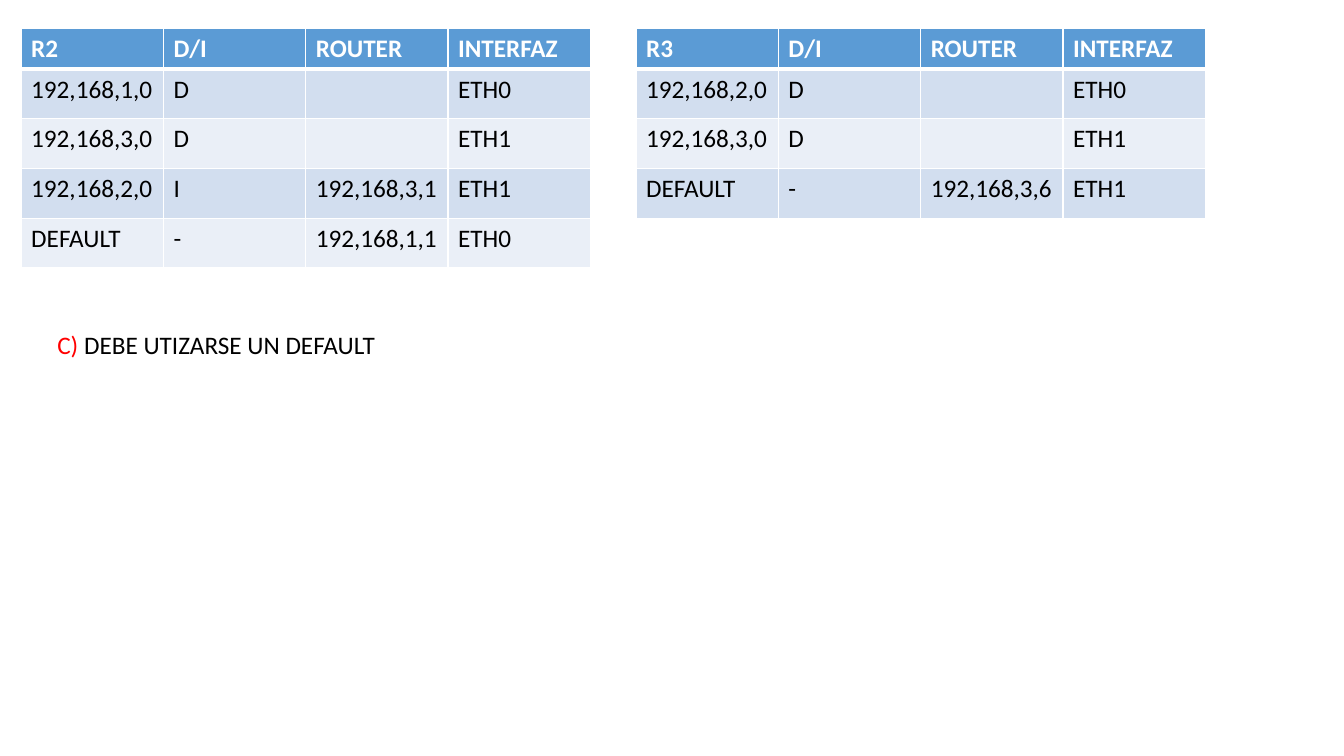
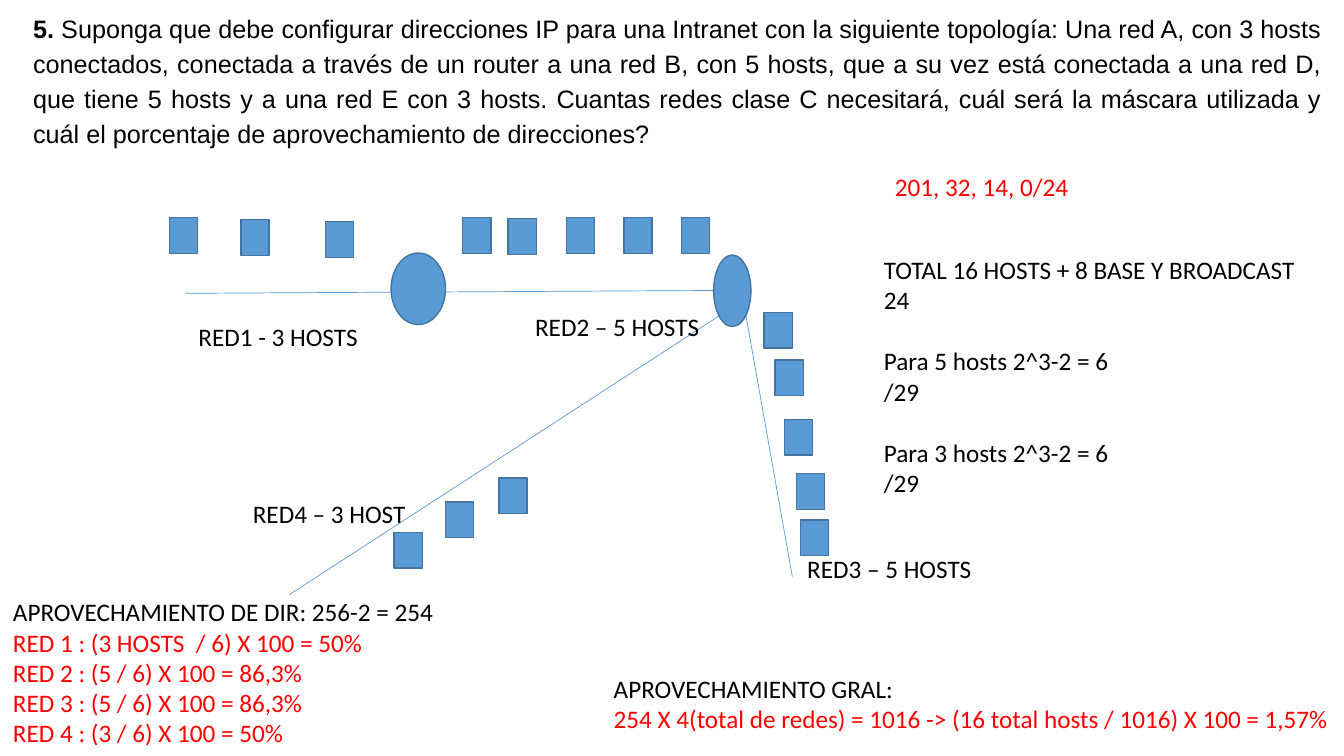
from lxml import etree
from pptx import Presentation
from pptx import util as u
from pptx.dml.color import RGBColor
from pptx.enum import shapes, text
from pptx.oxml import ns

COLORS = {
    "accent": "5B9BD5", "outline": "43739E", "band": "D2DEEF", "pale": "EAEFF7",
    "white": "FFFFFF", "black": "000000", "red": "FF0000",
}
FONT = "Calibri"
SIZE = 18
CELL = u.Inches(0.1)  # side of one grid cell: the page is 133.33 columns by 75 rows
COLUMN_WIDTH, HEADER_HEIGHT, ROW_HEIGHT = 14.12, 4, 4.93
HOST_WIDTH, HOST_HEIGHT = 2.8, 3.54
LINE_HEIGHT = u.Pt(22)


def grid(*cells):
    return [int(cell * CELL) for cell in cells]


def color(name):
    return RGBColor.from_string(COLORS[name])


def paint(item, name):
    item.fill.solid()
    item.fill.fore_color.rgb = color(name)


def add_span(para, words, ink="black", bold=False, font=FONT):
    span = para.add_run()
    span.text = words
    span.font.name, span.font.size, span.font.bold = font, u.Pt(SIZE), bold
    span.font.color.rgb = color(ink)


def add_text(page, place, lines, wrap=False, font=FONT, align=None, spacing=None, gaps=()):
    """Each line is a list of (words, ink, bold); gaps are lines preceded by a space."""
    box = page.shapes.add_textbox(*grid(*place))
    frame = box.text_frame
    frame.word_wrap = wrap
    frame.auto_size = text.MSO_AUTO_SIZE.SHAPE_TO_FIT_TEXT
    for index, spans in enumerate(lines):
        para = frame.add_paragraph() if index else frame.paragraphs[0]
        para.alignment, para.line_spacing = align, spacing
        if index in gaps:
            para.space_before = LINE_HEIGHT
        for span in spans:
            add_span(para, *span, font=font)


def add_borders(cell, top, bottom):
    properties = cell._tc.get_or_add_tcPr()
    for side, points in (("L", 1), ("R", 1), ("T", top), ("B", bottom)):
        line = etree.SubElement(properties, ns.qn("a:ln" + side), w=str(u.Pt(points)))
        fill = etree.SubElement(line, ns.qn("a:solidFill"))
        etree.SubElement(fill, ns.qn("a:srgbClr"), val=COLORS["white"])


def add_routes(page, left, top, router, routes):
    rows = [(router, "D/I", "ROUTER", "INTERFAZ"), *routes]
    columns = len(rows[0])
    height = HEADER_HEIGHT + ROW_HEIGHT * len(routes)
    place = grid(left, top, COLUMN_WIDTH * columns, height)
    table = page.shapes.add_table(len(rows), columns, *place).table
    for index, row in enumerate(rows):
        header = index == 0
        table.rows[index].height = grid(HEADER_HEIGHT if header else ROW_HEIGHT)[0]
        shade = "accent" if header else "band" if index % 2 else "pale"
        for position, words in enumerate(row):
            cell = table.cell(index, position)
            add_borders(cell, top=3 if index == 1 else 1, bottom=3 if header else 1)
            paint(cell, shade)
            if words:
                add_span(cell.text_frame.paragraphs[0], words,
                         "white" if header else "black", header)


def add_node(page, kind, *place):
    node = page.shapes.add_shape(kind, *grid(*place))
    node.shadow.inherit = False
    paint(node, "accent")
    node.line.color.rgb = color("outline")
    node.line.width = u.Pt(1)


def add_link(page, *ends):
    link = page.shapes.add_connector(shapes.MSO_CONNECTOR.STRAIGHT, *grid(*ends))
    link.line.color.rgb = color("accent")
    link.line.width = u.Pt(0.5)
    etree.SubElement(link._element.spPr, ns.qn("a:effectLst"))


def build_routing(page):
    add_routes(page, 2.1, 2.8, "R2", [
        ("192,168,1,0", "D", "", "ETH0"),
        ("192,168,3,0", "D", "", "ETH1"),
        ("192,168,2,0", "I", "192,168,3,1", "ETH1"),
        ("DEFAULT", "-", "192,168,1,1", "ETH0"),
    ])
    add_routes(page, 63.1, 2.8, "R3", [
        ("192,168,2,0", "D", "", "ETH0"),
        ("192,168,3,0", "D", "", "ETH1"),
        ("DEFAULT", "-", "192,168,3,6", "ETH1"),
    ])
    add_text(page, (4.7, 32.2, 33.8, 4), [[("C)", "red"), (" DEBE UTIZARSE UN DEFAULT",)]])


def build_topology(page):
    # Links and routers
    for ends in ((18.4, 29.1, 74.5, 28.8), (74, 31.3, 78.6, 57.2), (71.4, 31.3, 28.7, 59)):
        add_link(page, *ends)
    for place in ((38.8, 25.1, 5.4, 7.1), (70.8, 25.3, 3.7, 7.1)):
        add_node(page, shapes.MSO_SHAPE.OVAL, *place)

    # Hosts and label of each network
    networks = [
        ("RED1 - 3 HOSTS", (18.7, 31.4, 18, 4),
         [(16.8, 21.6), (23.9, 21.8), (32.3, 22)]),
        ("RED2 – 5 HOSTS", (52.1, 30.4, 18.5, 4),
         [(45.9, 21.6), (50.4, 21.7), (56.2, 21.6), (61.9, 21.6), (67.6, 21.6)]),
        ("RED3 – 5 HOSTS", (79.1, 54.4, 18.5, 4),
         [(75.8, 31), (76.9, 35.7), (77.8, 41.6), (79, 47), (79.4, 51.6)]),
        ("RED4 – 3 HOST", (24.1, 48.9, 17.3, 4),
         [(49.5, 47.4), (44.2, 49.8), (39.1, 52.8)]),
    ]
    for label, place, hosts in networks:
        for left, top in hosts:
            add_node(page, shapes.MSO_SHAPE.RECTANGLE, left, top, HOST_WIDTH, HOST_HEIGHT)
        add_text(page, place, [[(label,)]])

    # Address and mask notes
    add_text(page, (87.8, 16.5, 19.4, 4), [[("201, 32, 14, 0/24", "red")]])
    masks = ("TOTAL 16 HOSTS + 8 BASE Y BROADCAST", "24",
             "Para 5 hosts 2^3-2 = 6", "/29", "Para 3 hosts 2^3-2 = 6", "/29")
    add_text(page, (86.7, 24.75, 44.6, 25.4), [[(line,)] for line in masks],
             wrap=True, gaps=(2, 4))

    # Use of addresses
    add_text(page, (0.3, 58.7, 44.1, 16.2), [
        [("APROVECHAMIENTO DE DIR: 256-2 = 254",)],
        [("RED 1 : (3 HOSTS  / 6) X 100 = 50%", "red")],
        [("RED 2 : (5 / 6) X 100 = 86,3%", "red")],
        [("RED 3 : (5 / 6) X 100 = 86,3%", "red")],
        [("RED 4 : (3 / 6) X 100 = 50%", "red")],
    ])
    add_text(page, (59.9, 66.3, 73.4, 7.1), [
        [("APROVECHAMIENTO GRAL:",)],
        [("254 X 4(total de redes) = 1016 -> (16 total hosts / 1016) X 100 = 1,57%", "red")],
    ], wrap=True)

    # Question
    question = (
        " Suponga que debe configurar direcciones IP para una Intranet con la siguiente "
        "topología: Una red A, con 3 hosts conectados, conectada a través de un router a una "
        "red B, con 5 hosts, que a su vez está conectada a una red D, que tiene 5 hosts y a "
        "una red E con 3 hosts. Cuantas redes clase C necesitará, cuál será la máscara "
        "utilizada y cuál el porcentaje de aprovechamiento de direcciones?")
    add_text(page, (2.3, 0.4, 129.8, 14.9), [[("5.", "black", True), (question,)]],
             wrap=True, font="Arial", align=text.PP_ALIGN.JUSTIFY, spacing=1.15)


def main():
    deck = Presentation()
    deck.slide_width, deck.slide_height = grid(133.33, 75)
    blank = deck.slide_layouts[6]
    for build in (build_routing, build_topology):
        build(deck.slides.add_slide(blank))
    deck.save("out.pptx")


main()
